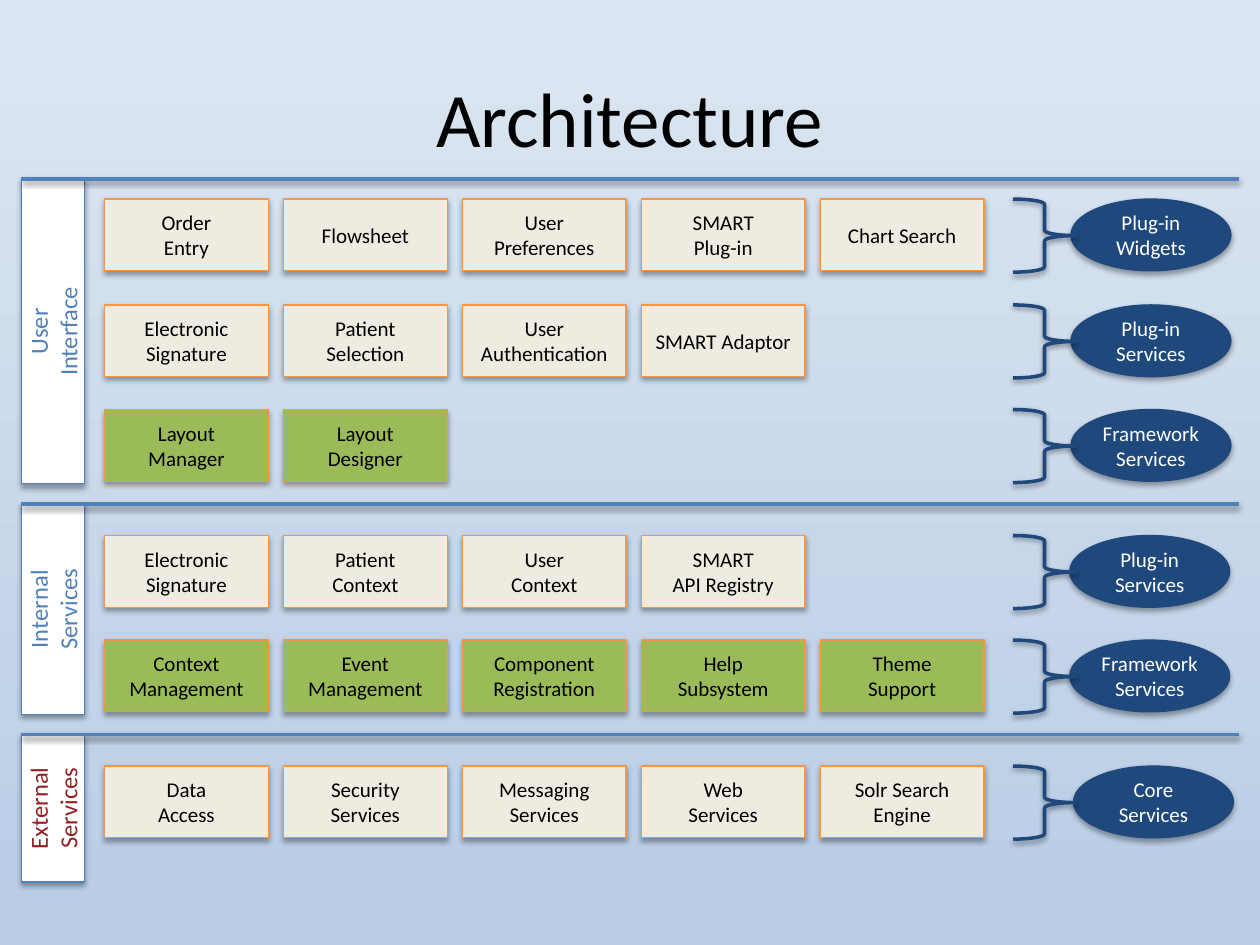
from lxml import etree
from pptx import Presentation
from pptx.dml.color import RGBColor
from pptx.enum.shapes import MSO_CONNECTOR, MSO_SHAPE
from pptx.enum.text import MSO_ANCHOR, PP_ALIGN
from pptx.oxml.ns import qn
from pptx.util import Inches, Pt

RECT, OVAL, BRACE = MSO_SHAPE.RECTANGLE, MSO_SHAPE.OVAL, MSO_SHAPE.RIGHT_BRACE
STRAIGHT = MSO_CONNECTOR.STRAIGHT
MIDDLE, CENTER = MSO_ANCHOR.MIDDLE, PP_ALIGN.CENTER

BLUE, NAVY, RED = "4F81BD", "1F497D", "922122"
CREAM, GREEN, ORANGE = "EEECE1", "9BBB59", "F79646"
BLACK, WHITE = "000000", "FFFFFF"


def color(code):
    return RGBColor.from_string(code)


class Deck:
    font = "Calibri"
    fill_shade = {"blurRad": 40000, "dist": 23000, "alpha": 35000}
    line_shade = {"blurRad": 40000, "dist": 20000, "alpha": 38000}

    def __init__(self, slide):
        self.slide = slide

    def backdrop(self, top, bottom):
        fill = self.slide.background.fill
        fill.gradient()
        fill.gradient_angle = 270
        for stop, code in zip(fill.gradient_stops, (top, bottom)):
            stop.color.rgb = color(code)

    def outline(self, item, code, width, shade):
        item.line.color.rgb = color(code)
        item.line.width = Pt(width)
        effects = etree.SubElement(item._element.spPr, qn("a:effectLst"))
        shadow = etree.SubElement(effects, qn("a:outerShdw"), dir="5400000", rotWithShape="0")
        for name in ("blurRad", "dist"):
            shadow.set(name, str(shade[name]))
        tint = etree.SubElement(shadow, qn("a:srgbClr"), val=BLACK)
        etree.SubElement(tint, qn("a:alpha"), val=str(shade["alpha"]))

    def text(self, shape, words, size, code, wrap=True):
        frame = shape.text_frame
        frame.word_wrap = wrap
        frame.vertical_anchor = MIDDLE
        frame.text = words
        for para in frame.paragraphs:
            para.alignment = CENTER
            for name, value in {"name": self.font, "size": Pt(size)}.items():
                setattr(para.font, name, value)
            para.font.color.rgb = color(code)

    def title(self, words, *box):
        self.text(self.slide.shapes.add_textbox(*map(Inches, box)), words, 44, BLACK)

    def block(self, kind, box, words, fill, edge, size, code, wrap=True):
        shape = self.slide.shapes.add_shape(kind, *map(Inches, box))
        shape.fill.solid()
        shape.fill.fore_color.rgb = color(fill)
        self.outline(shape, edge, 0.75, self.fill_shade)
        self.text(shape, words, size, code, wrap)
        return shape

    def label(self, box, words, code):
        shape = self.block(RECT, box, words, WHITE, BLUE, 14, code)
        shape.text_frame._txBody.bodyPr.set("vert", "vert270")

    def brace(self, *box):
        shape = self.slide.shapes.add_shape(BRACE, *map(Inches, box))
        shape.fill.background()
        self.outline(shape, NAVY, 2, self.line_shade)

    def rule(self, left, right, y):
        ends = map(Inches, (left, y, right, y))
        line = self.slide.shapes.add_connector(STRAIGHT, *ends)
        self.outline(line, BLUE, 2, self.line_shade)


# Layers: top, height, label, label colour
LAYERS = [
    (1.42, 2.42, "User\nInterface", BLUE),
    (4, 1.67, "Internal\nServices", BLUE),
    (5.83, 1.17, "External\nServices", RED),
]

# Rows: top, box fill, group name, group left, boxes
ROWS = [
    (1.58, CREAM, "Plug-in\nWidgets", 8.5,
     ["Order\nEntry", "Flowsheet", "User Preferences", "SMART\nPlug-in", "Chart Search"]),
    (2.42, CREAM, "Plug-in\nServices", 8.5,
     ["Electronic\nSignature", "Patient\nSelection", "User\nAuthentication", "SMART Adaptor"]),
    (3.25, GREEN, "Framework\nServices", 8.5,
     ["Layout\nManager", "Layout\nDesigner"]),
    (4.25, CREAM, "Plug-in\nServices", 8.49,
     ["Electronic\nSignature", "Patient\nContext", "User\nContext", "SMART\nAPI Registry"]),
    (5.08, GREEN, "Framework\nServices", 8.49,
     ["Context\nManagement", "Event\nManagement", "Component\nRegistration",
      "Help\nSubsystem", "Theme\nSupport"]),
    (6.08, CREAM, "Core\nServices", 8.52,
     ["Data\nAccess", "Security\nServices", "Messaging\nServices", "Web\nServices",
      "Solr Search Engine"]),
]
LEFT, STEP, WIDE, HIGH = 0.83, 1.42, 1.3, 0.57


def main():
    prs = Presentation()
    prs.slide_width, prs.slide_height = Inches(10), Inches(7.5)
    deck = Deck(prs.slides.add_slide(prs.slide_layouts[6]))
    deck.backdrop("DCE6F2", "B9CDE5")
    deck.title("Architecture", 0.5, 0.3, 9, 1.25)

    # Layer labels and dividing rules
    for top, height, words, code in LAYERS:
        deck.label((0.17, top, 0.5, height), words, code)
        deck.rule(0.17, 9.83, top)

    # Component boxes with their group on the right
    for top, fill, group, left, boxes in ROWS:
        for col, words in enumerate(boxes):
            box = (LEFT + col * STEP, top, WIDE, HIGH)
            deck.block(RECT, box, words, fill, ORANGE, 12, BLACK)
        deck.block(OVAL, (left, top, 1.27, HIGH), group, NAVY, NAVY, 12, WHITE, wrap=False)
        deck.brace(8.04, top, 0.5, 0.58)

    prs.save("out.pptx")


if __name__ == "__main__":
    main()
